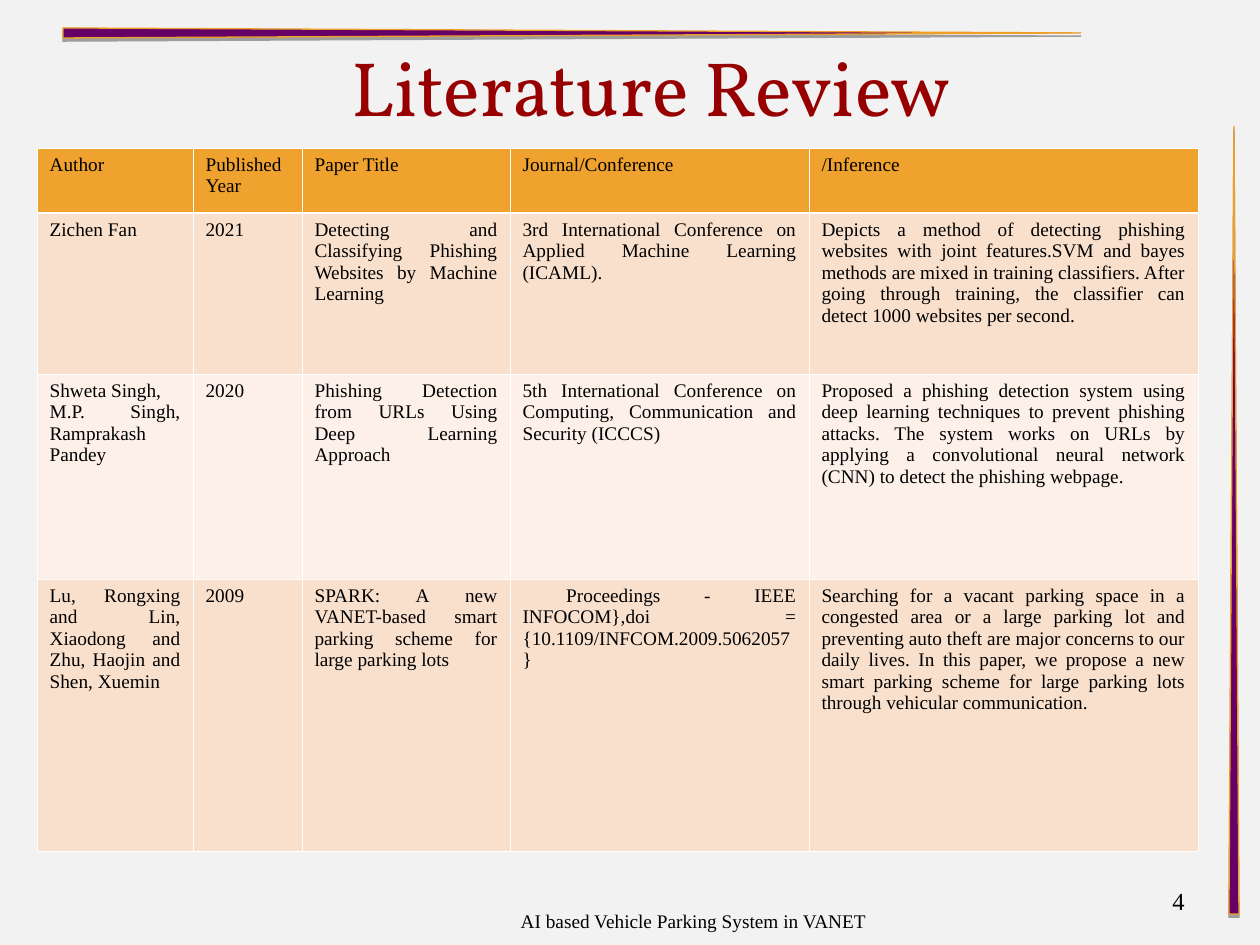
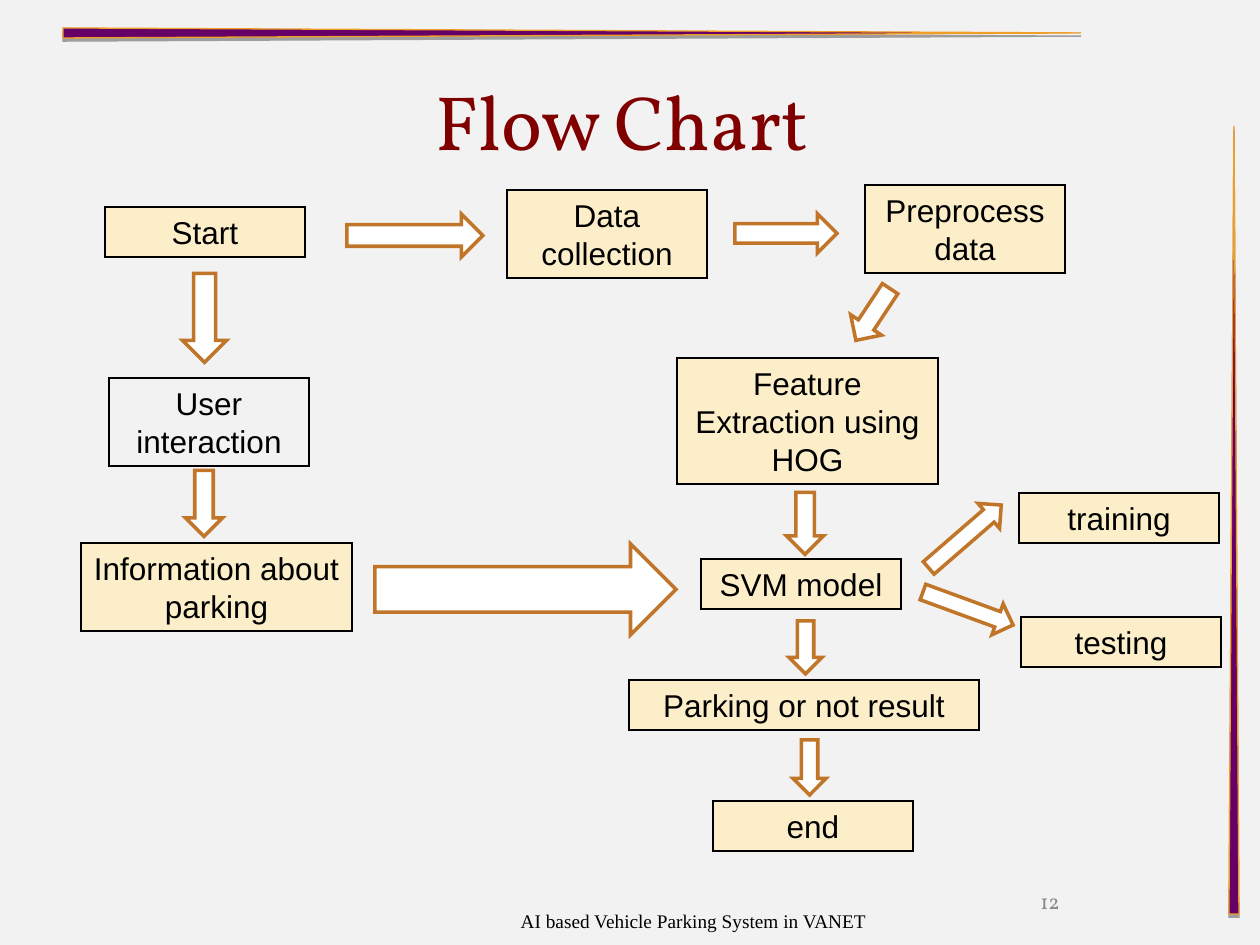
from dataclasses import dataclass
from typing import Any, NamedTuple

from lxml import etree
from pptx import Presentation
from pptx.dml.color import RGBColor
from pptx.enum import shapes, text
from pptx.oxml.ns import qn
from pptx.util import Emu, Pt

EMU_PER_PX = 914400 / 126
ALIGN = text.PP_ALIGN
MIDDLE = text.MSO_ANCHOR.MIDDLE
FIXED = text.MSO_AUTO_SIZE.NONE
GROW = text.MSO_AUTO_SIZE.SHAPE_TO_FIT_TEXT


@dataclass(frozen=True)
class TextStyle:
    size: int
    face: str
    color: str
    align: Any = ALIGN.CENTER


@dataclass(frozen=True)
class Theme:
    paper: str = "F2F2F2"
    white: str = "FFFFFF"
    black: str = "000000"
    band: str = "660066"
    band_edge: str = "EF9F28"
    box: str = "FBEEC9"
    arrow_edge: str = "C17529"
    header_row: str = "F0A22E"
    body_rows: tuple[str, str] = ("F9E0CD", "FCF0E8")
    review_title: TextStyle = TextStyle(44, "Vollkorn", "960000")
    flow_title: TextStyle = TextStyle(44, "Vollkorn", "800000")
    review_page: TextStyle = TextStyle(14, "Times New Roman", "000000", ALIGN.RIGHT)
    flow_page: TextStyle = TextStyle(12, "Vollkorn", "898989")
    footer: TextStyle = TextStyle(11, "Times New Roman", "000000")
    cell: TextStyle = TextStyle(11, "Times New Roman", "000000", ALIGN.JUSTIFY)
    step: TextStyle = TextStyle(18, "Arial", "000000")


THEME = Theme()


class Area(NamedTuple):
    left: int
    top: int
    width: int
    height: int


class Step(NamedTuple):
    label: str
    left: int
    top: int
    lines: int = 1
    width: int = 200
    filled: bool = True


class Arrow(NamedTuple):
    area: Area
    rotation: float = 0


FOOTER = "AI based Vehicle Parking System in VANET"
FOOTER_AREA = Area(158, 893, 1071, 55)
PAGE_AREA = Area(903, 876, 294, 50)
BANDS = [Arrow(Area(1229, 126, 10, 788)), Arrow(Area(567, -476, 10, 1018), 90)]

TABLE_ORIGIN = (37, 148)
COLUMN_WIDTHS = [156, 109, 208, 299, 389]
ROW_HEIGHTS = [65, 161, 205, 272]
REVIEW = [
    ["Author", "Published Year", "Paper Title", "Journal/Conference", "/Inference"],
    [
        "Zichen Fan",
        "2021",
        "Detecting and Classifying Phishing Websites by Machine Learning",
        "3rd International Conference on Applied Machine Learning (ICAML).",
        "Depicts a method of detecting phishing websites with joint features.SVM and bayes "
        "methods are mixed in training classifiers. After going through training, the "
        "classifier can detect 1000 websites per second.",
    ],
    [
        "Shweta Singh,\nM.P. Singh, Ramprakash Pandey",
        "2020",
        "Phishing Detection from URLs Using Deep Learning Approach",
        "5th International Conference on Computing, Communication and Security (ICCCS)",
        "Proposed a phishing detection system using deep learning techniques to prevent "
        "phishing attacks. The system works on URLs by applying a convolutional neural "
        "network (CNN) to detect the phishing webpage.",
    ],
    [
        "Lu, Rongxing and Lin, Xiaodong and Zhu, Haojin and Shen, Xuemin",
        "2009",
        "SPARK: A new VANET-based smart parking scheme for large parking lots",
        " Proceedings - IEEE INFOCOM},doi = {10.1109/INFCOM.2009.5062057}",
        "Searching for a vacant parking space in a congested area or a large parking lot "
        "and preventing auto theft are major concerns to our daily lives. In this paper, "
        "we propose a new smart parking scheme for large parking lots through vehicular "
        "communication.",
    ],
]

STEPS = [
    Step("Start", 105, 207),
    Step("Data collection", 507, 190, 2),
    Step("Preprocess data", 865, 185, 2),
    Step("Feature Extraction using HOG", 677, 358, 3, 261),
    Step("SVM model", 701, 559),
    Step("User interaction", 109, 378, 2, filled=False),
    Step("testing", 1021, 617),
    Step("Information about parking", 81, 543, 2, 271),
    Step("training", 1019, 493),
    Step("end", 713, 801),
    Step("Parking or not result", 629, 680, width=350),
]

ARROWS = [
    Arrow(Area(347, 214, 136, 43)),
    Arrow(Area(735, 214, 102, 39)),
    Arrow(Area(774, 505, 62, 37), 90),
    Arrow(Area(917, 520, 96, 33), 319.1),
    Arrow(Area(375, 544, 301, 91)),
    Arrow(Area(842, 296, 62, 37), 123.5),
    Arrow(Area(779, 631, 53, 33), 90),
    Arrow(Area(171, 485, 66, 37), 90),
    Arrow(Area(782, 751, 55, 33), 90),
    Arrow(Area(160, 296, 89, 44), 90),
    Arrow(Area(920, 592, 96, 33), 20.1),
]


def px(length: int) -> Emu:
    return Emu(round(length * EMU_PER_PX))


def rgb(color: str) -> RGBColor:
    return RGBColor.from_string(color)


def apply(target: Any, values: dict[str, Any]) -> None:
    for key, value in values.items():
        setattr(target, key, value)


def paint(fill: Any, color: str) -> None:
    fill.solid()
    fill.fore_color.rgb = rgb(color)


def write(frame: Any, content: str, style: TextStyle) -> None:
    frame.text = content
    for paragraph in frame.paragraphs:
        paragraph.alignment = style.align
        apply(paragraph.font, {"size": Pt(style.size), "name": style.face, "bold": False})
        paragraph.font.color.rgb = rgb(style.color)


def add_outlined(slide: Any, kind: Any, area: Area, fill: str | None, edge: str,
                 weight: float, rotation: float = 0) -> Any:
    shape = slide.shapes.add_shape(kind, *map(px, area))
    shape.rotation = rotation
    shape.shadow.inherit = False
    if fill:
        paint(shape.fill, fill)
    else:
        shape.fill.background()
    paint(shape.line.fill, edge)
    shape.line.width = Pt(weight)
    outline = shape._element.spPr.find(qn("a:ln"))
    etree.SubElement(outline, qn("a:miter"), lim="800000")
    return shape


def add_band(slide: Any, layout: Any, band: Arrow) -> None:
    wedge = add_outlined(slide, shapes.MSO_SHAPE.FLOWCHART_EXTRACT, band.area,
                         THEME.band, THEME.band_edge, 0.75, band.rotation)
    effects = wedge._element.spPr.find(qn("a:effectLst"))
    shadow = etree.SubElement(effects, qn("a:outerShdw"), blurRad="0",
                              dist=str(Pt(1.8)), dir="5400000", rotWithShape="0")
    tint = etree.SubElement(shadow, qn("a:srgbClr"), val=THEME.black)
    etree.SubElement(tint, qn("a:alpha"), val="35000")
    layout.shapes.element.append(wedge._element)


def add_label(slide: Any, content: str, area: Area, style: TextStyle) -> None:
    frame = slide.shapes.add_textbox(*map(px, area)).text_frame
    apply(frame, {"word_wrap": True, "auto_size": FIXED, "vertical_anchor": MIDDLE})
    write(frame, content, style)


def add_page(deck: Any, layout: Any, title: str, title_area: Area, title_style: TextStyle,
             number: str, number_style: TextStyle) -> Any:
    slide = deck.slides.add_slide(layout)
    heading = slide.shapes.title
    apply(heading, dict(zip(Area._fields, map(px, title_area))))
    apply(heading.text_frame, {"word_wrap": True, "auto_size": FIXED,
                               "vertical_anchor": MIDDLE})
    write(heading.text_frame, title, title_style)
    add_label(slide, number, PAGE_AREA, number_style)
    add_label(slide, FOOTER, FOOTER_AREA, THEME.footer)
    return slide


def set_borders(cell: Any, weights: dict[str, float]) -> None:
    properties = cell._tc.get_or_add_tcPr()
    for index, (side, weight) in enumerate(weights.items()):
        border = etree.Element(qn(f"a:{side}"), w=str(Pt(weight)))
        fill = etree.SubElement(border, qn("a:solidFill"))
        etree.SubElement(fill, qn("a:srgbClr"), val=THEME.white)
        properties.insert(index, border)


def add_review(slide: Any) -> None:
    area = Area(*TABLE_ORIGIN, sum(COLUMN_WIDTHS), sum(ROW_HEIGHTS))
    review = slide.shapes.add_table(len(REVIEW), len(COLUMN_WIDTHS), *map(px, area)).table
    apply(review, {"first_row": False, "horz_banding": False})
    for column, width in zip(review.columns, COLUMN_WIDTHS):
        column.width = px(width)
    for index, (row, height, entries) in enumerate(zip(review.rows, ROW_HEIGHTS, REVIEW)):
        row.height = px(height)
        color = THEME.body_rows[(index - 1) % 2] if index else THEME.header_row
        weights = {"lnL": 0.45, "lnR": 0.45, "lnT": 1.47 if index == 1 else 0.45,
                   "lnB": 0.45 if index else 1.47}
        for cell, entry in zip(row.cells, entries):
            paint(cell.fill, color)
            set_borders(cell, weights)
            write(cell.text_frame, entry, THEME.cell)


def add_step(slide: Any, step: Step) -> None:
    area = Area(step.left, step.top, step.width, 12 + 38 * step.lines)
    box = add_outlined(slide, shapes.MSO_SHAPE.RECTANGLE, area,
                       THEME.box if step.filled else None, THEME.black, 0.75)
    apply(box.text_frame, {"word_wrap": True, "auto_size": GROW,
                           "vertical_anchor": text.MSO_ANCHOR.TOP})
    write(box.text_frame, step.label, THEME.step)


def main() -> None:
    deck = Presentation()
    apply(deck, {"slide_width": px(1260), "slide_height": px(945)})
    paint(deck.slide_master.background.fill, THEME.paper)
    layout = deck.slide_layouts.get_by_name("Title Only")

    literature = add_page(deck, layout, "Literature Review", Area(21, 44, 1260, 84),
                          THEME.review_title, "4", THEME.review_page)
    for band in BANDS:
        add_band(literature, layout, band)
    add_review(literature)

    flow = add_page(deck, layout, "Flow Chart", Area(55, 64, 1134, 111),
                    THEME.flow_title, "12", THEME.flow_page)
    for step in STEPS:
        add_step(flow, step)
    for arrow in ARROWS:
        add_outlined(flow, shapes.MSO_SHAPE.RIGHT_ARROW, arrow.area, THEME.white,
                     THEME.arrow_edge, 2, arrow.rotation)
    deck.save("out.pptx")


if __name__ == "__main__":
    main()
